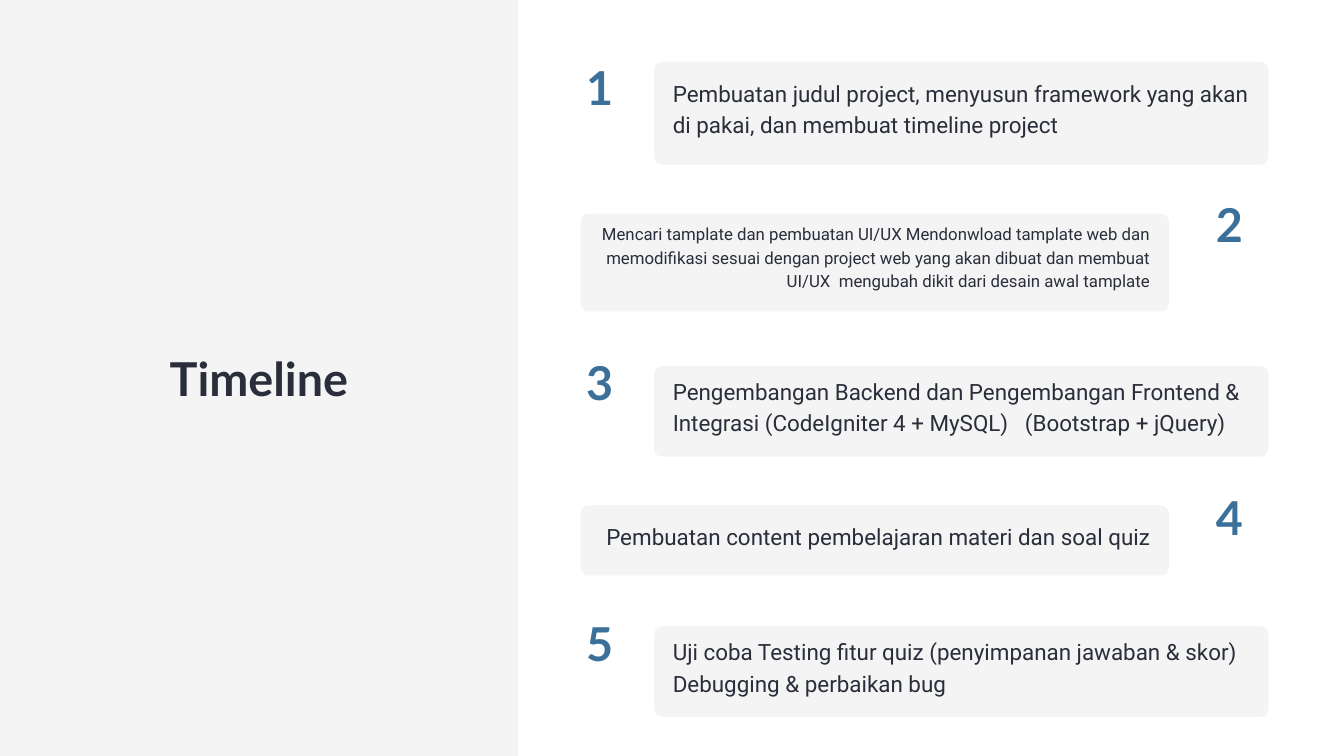
import pptx
import pptx.util
import pptx.dml.color
import pptx.enum.shapes
import pptx.enum.text

Pt = pptx.util.Pt
RGB = pptx.dml.color.RGBColor
SHAPE = pptx.enum.shapes.MSO_SHAPE
ALIGN = pptx.enum.text.PP_ALIGN
ANCHOR = pptx.enum.text.MSO_ANCHOR
FIT = pptx.enum.text.MSO_AUTO_SIZE

GREY = RGB(0xF4, 0xF4, 0xF4)
INK = RGB(0x2A, 0x2E, 0x3A)
BLUE = RGB(0x3A, 0x70, 0x99)

# Step text, text size, card top, card height, number top
STEPS = [
    ("Pembuatan judul project, menyusun framework yang akan di pakai, "
     "dan membuat timeline project", 24, 66, 110.4, 57.6),
    ("Mencari tamplate dan pembuatan UI/UX Mendonwload tamplate web dan "
     "memodifikasi sesuai dengan project web yang akan dibuat dan membuat "
     "UI/UX  mengubah dikit dari desain awal tamplate", 18, 229, 104.6, 205.2),
    ("Pengembangan Backend dan Pengembangan Frontend & Integrasi "
     "(CodeIgniter 4 + MySQL)   (Bootstrap + jQuery)", 24, 392.2, 97, 374.4),
    ("Pembuatan content pembelajaran materi dan soal quiz",
     24, 541.6, 74.8, 518.4),
    ("Uji coba Testing fitur quiz (penyimpanan jawaban & skor) "
     "Debugging & perbaikan bug", 24, 671.2, 97, 653.8),
]


class Deck:
    head = "Lato"
    body = "Roboto"
    big = 50
    curve = 8.4  # corner radius of a card

    def __init__(self, wide, high):
        self.prs = pptx.Presentation()
        self.prs.slide_width = Pt(wide)
        self.prs.slide_height = Pt(high)
        self.slide = self.prs.slides.add_slide(self.prs.slide_layouts[5])

    def text(self, shape, words, font, size, color, align, lead, pads, bold=False):
        frame = shape.text_frame
        frame.word_wrap = True
        frame.auto_size = FIT.NONE
        (frame.margin_left, frame.margin_top,
         frame.margin_right, frame.margin_bottom) = [Pt(p) for p in pads]
        para = frame.paragraphs[0]
        para.alignment = align
        para.line_spacing = Pt(lead)
        run = para.add_run()
        run.text = words
        run.font.name = font
        run.font.size = Pt(size)
        run.font.bold = bold
        run.font.color.rgb = color

    def block(self, kind, x, y, w, h):
        shape = self.slide.shapes.add_shape(kind, Pt(x), Pt(y), Pt(w), Pt(h))
        shape.shadow.inherit = False
        shape.fill.solid()
        shape.fill.fore_color.rgb = GREY
        shape.line.fill.background()
        return shape

    def label(self, shape, words, color):
        shape.text_frame.vertical_anchor = ANCHOR.TOP
        self.text(shape, words, self.head, self.big, color, ALIGN.CENTER,
                  1.3 * self.big, (0, 0, 0, 0), True)

    def title(self, words, x, y, w, h):
        shape = self.slide.shapes.title
        shape.left, shape.top, shape.width, shape.height = Pt(x), Pt(y), Pt(w), Pt(h)
        self.label(shape, words, INK)
        self.slide.shapes._spTree.append(shape._element)  # in front of the panel

    def number(self, words, x, y):
        box = self.slide.shapes.add_textbox(Pt(x), Pt(y), Pt(46.8), Pt(63.4))
        self.label(box, words, BLUE)

    def card(self, words, size, x, y, w, h, align):
        shape = self.block(SHAPE.ROUNDED_RECTANGLE, x, y, w, h)
        shape.adjustments[0] = self.curve / h
        shape.text_frame.vertical_anchor = ANCHOR.MIDDLE
        self.text(shape, words, self.body, size, INK, align, 1.4 * size,
                  (17.6, 3.6, 17.6, 17.6))


def main():
    deck = Deck(1440, 810)

    # Left panel with the title
    deck.block(SHAPE.RECTANGLE, 0, 0, 555, 810)
    deck.title("Timeline", 109.4, 370, 336.2, 65)

    # Steps, alternating number left and number right
    for i, (words, size, top, high, mark) in enumerate(STEPS):
        if i % 2 == 0:
            deck.number(str(i + 1), 619.2, mark)
            deck.card(words, size, 700.8, top, 658.2, high, ALIGN.LEFT)
        else:
            deck.number(str(i + 1), 1293.8, mark)
            deck.card(words, size, 622, top, 630.4, high, ALIGN.RIGHT)

    deck.prs.save("out.pptx")


if __name__ == "__main__":
    main()
